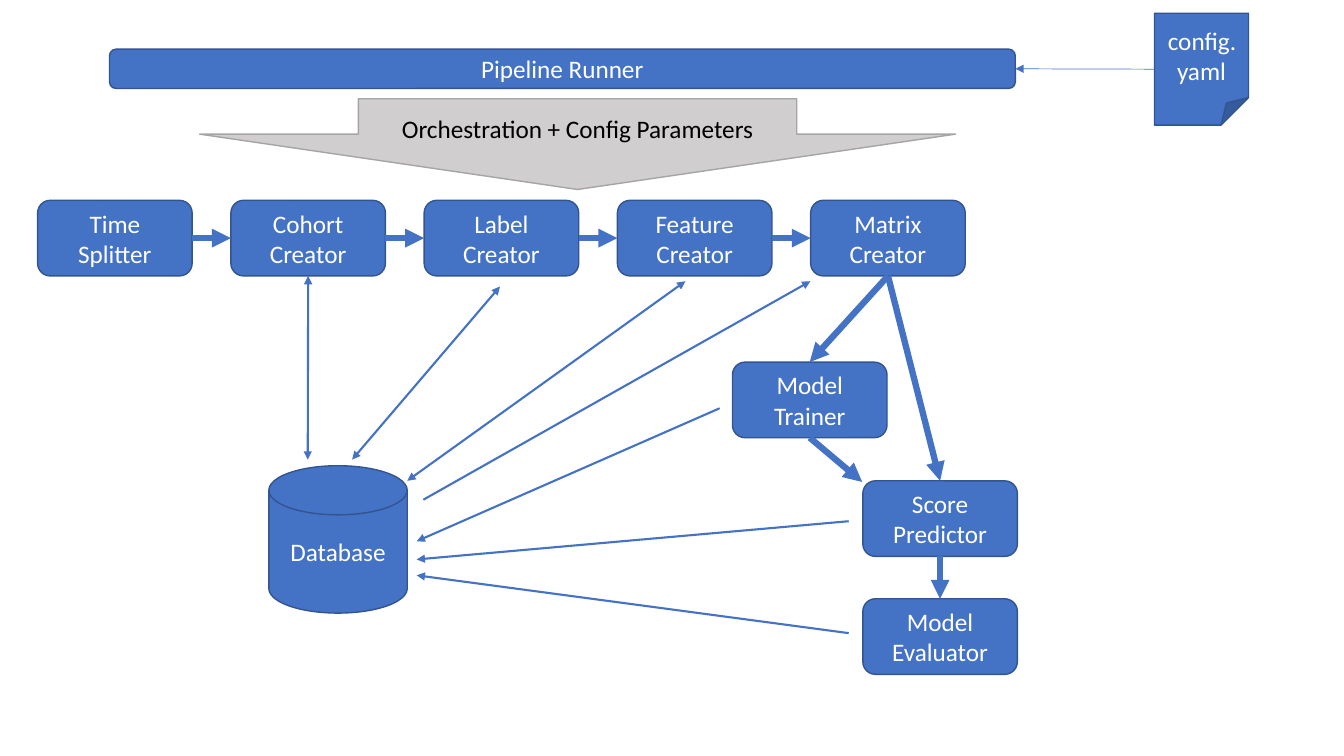
import pptx
import pptx.util
import pptx.dml.color
import pptx.enum.shapes
import pptx.enum.text
import pptx.oxml.ns
import lxml.etree

SHAPE = pptx.enum.shapes.MSO_SHAPE
BLUE, EDGE, WHITE = "4472C4", "325491", "FFFFFF"

prs = pptx.Presentation()
prs.slide_width = pptx.util.Inches(13.33)
prs.slide_height = pptx.util.Inches(7.5)
s = prs.slides.add_slide(prs.slide_layouts[6])

# All places and sizes are percentages of the slide's width and height
W, H = prs.slide_width / 100, prs.slide_height / 100
BOX_W, BOX_H = 11.5, 10
LEFT, PITCH, TOP = 2.8, 14.38, 26.5


def add_box(text, kind, x, y, w, h, fill=BLUE, edge=EDGE, ink=WHITE):
    sp = s.shapes.add_shape(kind, int(x * W), int(y * H), int(w * W), int(h * H))
    sp.shadow.inherit = False
    sp.fill.solid()
    sp.fill.fore_color.rgb = pptx.dml.color.RGBColor.from_string(fill)
    sp.line.color.rgb = pptx.dml.color.RGBColor.from_string(edge)
    sp.line.width = pptx.util.Pt(1)
    tf = sp.text_frame
    tf.word_wrap = True
    tf.vertical_anchor = pptx.enum.text.MSO_ANCHOR.MIDDLE
    p = tf.paragraphs[0]
    p.alignment = pptx.enum.text.PP_ALIGN.CENTER
    r = p.add_run()
    r.text = text
    r.font.name = "Calibri"
    r.font.size = pptx.util.Pt(18)
    r.font.color.rgb = pptx.dml.color.RGBColor.from_string(ink)
    return sp


def add_arrow(start, end, width, ends=("tailEnd",)):
    """Each end is a point (x, y) or a joined side (shape, site)."""
    c = s.shapes.add_connector(pptx.enum.shapes.MSO_CONNECTOR.STRAIGHT, 0, 0, 0, 0)
    if isinstance(start[0], (int, float)):
        c.begin_x, c.begin_y = int(start[0] * W), int(start[1] * H)
    else:
        c.begin_connect(*start)
    if isinstance(end[0], (int, float)):
        c.end_x, c.end_y = int(end[0] * W), int(end[1] * H)
    else:
        c.end_connect(*end)
    c.line.color.rgb = pptx.dml.color.RGBColor.from_string(BLUE)
    c.line.width = pptx.util.Pt(width)
    ln = c.line._get_or_add_ln()
    for name in ends:
        lxml.etree.SubElement(ln, pptx.oxml.ns.qn("a:" + name), type="triangle")
    lxml.etree.SubElement(c._element.spPr, pptx.oxml.ns.qn("a:effectLst"))


# Row of creators, then the model steps below it
steps = ["Time Splitter", "Cohort Creator", "Label Creator", "Feature Creator", "Matrix Creator"]
places = [(name, LEFT + i * PITCH, TOP) for i, name in enumerate(steps)]
places += [("Model Trainer", 54.5, 47.9), ("Score Predictor", 64.2, 63.6),
           ("Model Evaluator", 64.2, 79.2)]
boxes = {name: add_box(name, SHAPE.FLOWCHART_ALTERNATE_PROCESS, x, y, BOX_W, BOX_H)
         for name, x, y in places}

# Database, runner and its configuration
add_box("Database", SHAPE.FLOWCHART_MAGNETIC_DISK, 20, 61.6, 10.3, 19.5)
runner = add_box("Pipeline Runner", SHAPE.FLOWCHART_ALTERNATE_PROCESS, 8.15, 6.5, 67.4, 5.2)
config = add_box("config.yaml", SHAPE.FOLDED_CORNER, 85.9, 1.75, 7, 14.8)
# The folded corner's size has no public setting
fold = next(config._element.iter(pptx.oxml.ns.qn("a:avLst")))
lxml.etree.SubElement(fold, pptx.oxml.ns.qn("a:gd"), name="adj", fmla="val 29300")
add_arrow((config, 1), (runner, 3), 0.5)

# Wide arrow from the runner to the creators
wide = add_box("Orchestration + Config Parameters", SHAPE.DOWN_ARROW,
               14.85, 13.07, 56.25, 12, "D0CECE", "A5A5A5", "000000")
for i, share in enumerate([0.58, 0.61]):
    wide.adjustments[i] = share

# Thick arrows: order of the steps
for left, right in zip(steps, steps[1:]):
    add_arrow((boxes[left], 3), (boxes[right], 1), 4.5)
for upper, lower in [("Matrix Creator", "Model Trainer"), ("Matrix Creator", "Score Predictor"),
                     ("Score Predictor", "Model Evaluator")]:
    add_arrow((boxes[upper], 2), (boxes[lower], 0), 4.5)
add_arrow((boxes["Model Trainer"], 2), (64.15, 63.75), 4.5)

# Thin arrows: two-way exchange with the database
for start, end in [((boxes["Cohort Creator"], 2), (22.9, 60.8)),
                   ((37.2, 37.9), (26.2, 60.8)),
                   ((51, 37.2), (30.3, 63.6))]:
    add_arrow(start, end, 1.5, ("headEnd", "tailEnd"))

# Thin arrows: one-way reads and writes
for start, end in [((31.5, 66.1), (60.3, 37.2)),
                   ((53.55, 54), (31, 71.6)),
                   ((63.15, 68.95), (31, 74)),
                   ((63.15, 83.75), (31, 76.1))]:
    add_arrow(start, end, 1.5)

prs.save("out.pptx")
